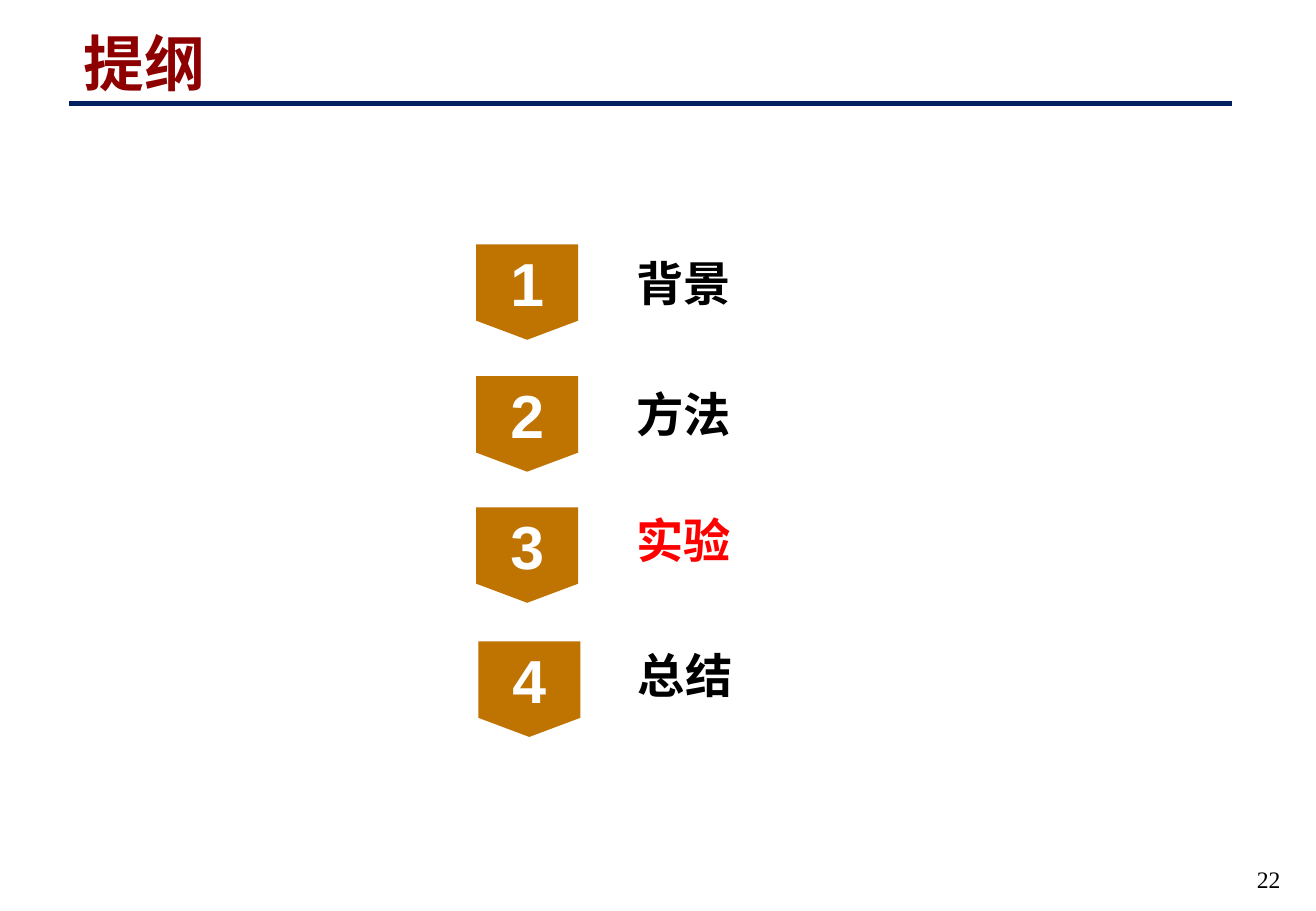
"""Build an outline slide with four numbered sections, the third one highlighted."""
import dataclasses

import pptx
import pptx.dml.color
import pptx.enum.shapes
import pptx.enum.text
import pptx.oxml.ns
import pptx.util
from lxml import etree

Pt = pptx.util.Pt
ALIGN = pptx.enum.text.PP_ALIGN
ANCHOR = pptx.enum.text.MSO_ANCHOR
AUTO = pptx.enum.text.MSO_AUTO_SIZE


@dataclasses.dataclass(frozen=True)
class Theme:
    """Hold the fonts, colours and type sizes of the slide."""
    body_font: str = "Times New Roman"
    badge_font: str = "Arial"
    title: str = "8E0000"
    rule: str = "002060"
    badge: str = "BF7300"
    badge_text: str = "FFFFFF"
    text: str = "000000"
    current: str = "FF0000"
    title_size: int = 36
    badge_size: int = 36
    label_size: int = 28
    number_size: int = 14


THEME = Theme()
CURRENT = "实验"
SECTIONS = [
    ("背景", 282.24, 144.8, 369.9, 146.9),
    ("方法", 282.24, 223, 369.9, 224.7),
    ("实验", 282.24, 300.7, 369.9, 299.6),
    ("总结", 283.5, 380.2, 371, 379.5),
]


def rgb(value):
    """Return a colour object for a hex value."""
    return pptx.dml.color.RGBColor.from_string(value)


def write(sp, text, size, color, font=THEME.body_font, bold=True, align=ALIGN.LEFT):
    """Set the text of a shape and format its run."""
    tf = sp.text_frame
    tf.text = text
    p = tf.paragraphs[0]
    p.alignment = align
    r = p.runs[0]
    r.font.name = font
    r.font.size = Pt(size)
    r.font.bold = bold
    r.font.color.rgb = rgb(color)


def add_title(s, text):
    """Place and format the title placeholder."""
    sp = s.shapes.title
    sp.left, sp.top, sp.width, sp.height = Pt(42.5), Pt(7.9), Pt(702), Pt(54)
    write(sp, text, THEME.title_size, THEME.title)
    sp.text_frame.vertical_anchor = ANCHOR.BOTTOM
    sp.text_frame.auto_size = AUTO.NONE


def add_rule(s):
    """Draw the line under the title."""
    line = s.shapes.add_connector(
        pptx.enum.shapes.MSO_CONNECTOR.STRAIGHT, Pt(41.2), Pt(61.3), Pt(730), Pt(61.3))
    line.line.color.rgb = rgb(THEME.rule)
    line.line.width = Pt(3)
    etree.SubElement(line._element.spPr, pptx.oxml.ns.qn("a:effectLst"))


def add_badge(s, number, left, top):
    """Draw a pointed badge with a section number."""
    sp = s.shapes.add_shape(
        pptx.enum.shapes.MSO_SHAPE.FLOWCHART_OFFPAGE_CONNECTOR,
        Pt(left), Pt(top), Pt(60.5), Pt(56.6))
    sp.shadow.inherit = False
    sp.fill.solid()
    sp.fill.fore_color.rgb = rgb(THEME.badge)
    sp.line.fill.background()
    write(sp, str(number), THEME.badge_size, THEME.badge_text, THEME.badge_font,
          align=ALIGN.CENTER)
    sp.text_frame.vertical_anchor = ANCHOR.MIDDLE


def add_label(s, text, left, top):
    """Write a section name, coloured when it is the current one."""
    sp = s.shapes.add_textbox(Pt(left), Pt(top), Pt(71), Pt(41.2))
    write(sp, text, THEME.label_size, THEME.current if text == CURRENT else THEME.text)
    sp.text_frame.word_wrap = False
    sp.text_frame.auto_size = AUTO.SHAPE_TO_FIT_TEXT


def add_page_number(s, number):
    """Write the page number at the bottom right."""
    sp = s.shapes.add_textbox(Pt(584), Pt(509), Pt(182), Pt(36))
    write(sp, str(number), THEME.number_size, THEME.text, bold=False, align=ALIGN.RIGHT)
    sp.text_frame.word_wrap = True


def main():
    """Build and save the slide."""
    prs = pptx.Presentation()
    prs.slide_width, prs.slide_height = Pt(780), Pt(540)
    s = prs.slides.add_slide(prs.slide_layouts.get_by_name("Title Only"))
    add_rule(s)
    add_title(s, "提纲")
    add_page_number(s, 22)
    for number, (name, badge_left, badge_top, left, top) in enumerate(SECTIONS, 1):
        add_badge(s, number, badge_left, badge_top)
        add_label(s, name, left, top)
    prs.save("out.pptx")


if __name__ == "__main__":
    main()
